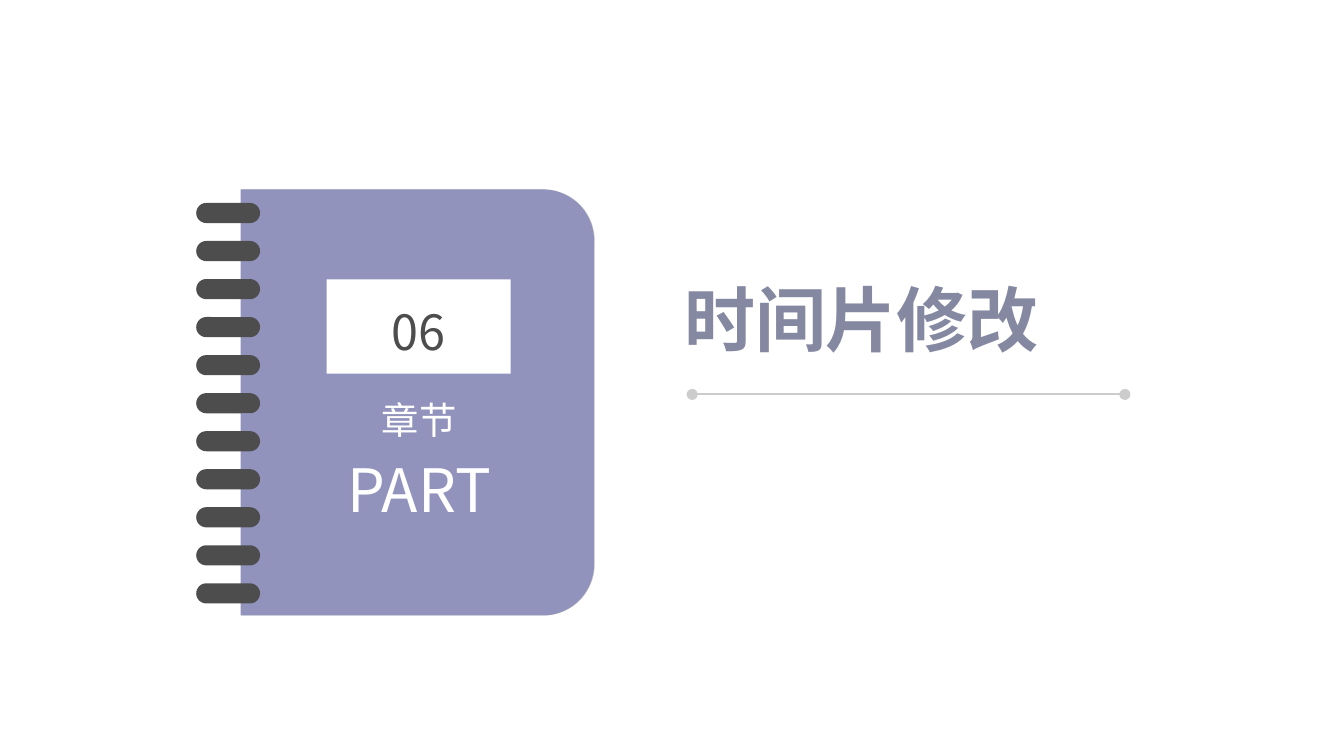
from dataclasses import dataclass

import pptx
import pptx.dml.color
import pptx.enum.shapes
import pptx.enum.text
import pptx.oxml.ns
import pptx.util
from lxml import etree

FONT = "Noto Sans CJK SC"
WHITE, GREY, CHARCOAL, LAVENDER, SLATE = "FFFFFF", "CCCCCC", "4D4D4D", "9293BD", "8588A1"
SHAPE = pptx.enum.shapes.MSO_SHAPE
ALIGN = pptx.enum.text.PP_ALIGN

presentation = pptx.Presentation()
presentation.slide_width = pptx.util.Inches(10)
presentation.slide_height = presentation.slide_width * 9 // 16
COLUMN = presentation.slide_width / 100
ROW = presentation.slide_height / 56.25

RING_COUNT = 11
RING_TOP = 15.1
RING_PITCH = 2.83


@dataclass
class Box:
    left: float
    top: float
    width: float
    height: float

    def place(self, shape) -> None:
        shape.left, shape.width = round(self.left * COLUMN), round(self.width * COLUMN)
        shape.top, shape.height = round(self.top * ROW), round(self.height * ROW)


@dataclass
class Line:
    text: str
    size: float
    space_before: float = 0


def colour(value: str) -> pptx.dml.color.RGBColor:
    return pptx.dml.color.RGBColor.from_string(value)


def draw_shape(slide, preset, box: Box, fill: str, rounding=None, rotation: float = 0) -> None:
    shape = slide.shapes.add_shape(preset, 0, 0, 0, 0)
    box.place(shape)
    shape.shadow.inherit = False
    shape.fill.solid()
    shape.fill.fore_color.rgb = colour(fill)
    shape.line.fill.background()
    shape.rotation = rotation
    if rounding is not None:
        shape.adjustments[0] = rounding


def write_text(shape, lines: list[Line], *, fill: str, bold: bool = False,
               align=ALIGN.CENTER, indent: float = 0) -> None:
    frame = shape.text_frame
    frame.word_wrap = True
    frame.auto_size = pptx.enum.text.MSO_AUTO_SIZE.NONE
    frame.vertical_anchor = pptx.enum.text.MSO_ANCHOR.MIDDLE
    frame.margin_left = round(indent * COLUMN)
    frame.margin_top = frame.margin_right = frame.margin_bottom = 0
    for index, line in enumerate(lines):
        paragraph = frame.add_paragraph() if index else frame.paragraphs[0]
        paragraph.alignment = align
        paragraph.space_before = pptx.util.Pt(line.space_before)
        run = paragraph.add_run()
        run.text = line.text
        run.font.name = FONT
        run.font.size = pptx.util.Pt(line.size)
        run.font.bold = bold
        run.font.color.rgb = colour(fill)
        east_asian = etree.SubElement(run.font._element, pptx.oxml.ns.qn("a:ea"))
        east_asian.set("typeface", FONT)


def add_label(slide, box: Box, lines: list[Line], fill: str) -> None:
    label = slide.shapes.add_textbox(0, 0, 0, 0)
    box.place(label)
    write_text(label, lines, fill=fill)


def draw_rule(slide, left: float, right: float, top: float) -> None:
    rule = slide.shapes.add_connector(
        pptx.enum.shapes.MSO_CONNECTOR.STRAIGHT,
        round(left * COLUMN), round(top * ROW), round(right * COLUMN), round(top * ROW))
    rule.line.color.rgb = colour(GREY)
    rule.line.width = pptx.util.Pt(1)
    outline = rule.line._get_or_add_ln()
    for end in ("a:headEnd", "a:tailEnd"):
        etree.SubElement(outline, pptx.oxml.ns.qn(end)).set("type", "oval")
    etree.SubElement(rule._element.spPr, pptx.oxml.ns.qn("a:effectLst"))


def draw_notebook(slide) -> None:
    for left, fill in ((15.25, GREY), (15.2, LAVENDER)):
        draw_shape(slide, SHAPE.ROUND_2_SAME_RECTANGLE, Box(left, 16.8, 31.7, 26.3),
                   fill, rounding=0.145, rotation=90)
    draw_shape(slide, SHAPE.RECTANGLE, Box(24.3, 20.8, 13.7, 7), WHITE)
    for index in range(RING_COUNT):
        draw_shape(slide, SHAPE.ROUNDED_RECTANGLE,
                   Box(14.6, RING_TOP + index * RING_PITCH, 4.75, 1.5), CHARCOAL, rounding=0.5)
    add_label(slide, Box(24.7, 22.4, 12.9, 4.4), [Line("06", 26)], CHARCOAL)
    add_label(slide, Box(25.8, 29.4, 10.8, 9.8),
              [Line("章节", 20), Line("PART", 32, space_before=6)], WHITE)


def main() -> None:
    slide = presentation.slides.add_slide(presentation.slide_layouts[5])
    draw_rule(slide, 51.5, 83.7, 29.35)
    title = slide.shapes.title
    Box(46.1, 20.5, 54.5, 6.4).place(title)
    write_text(title, [Line("时间片修改", 38)], fill=SLATE, bold=True,
               align=ALIGN.LEFT, indent=4.8)
    draw_notebook(slide)
    presentation.save("out.pptx")


if __name__ == "__main__":
    main()
